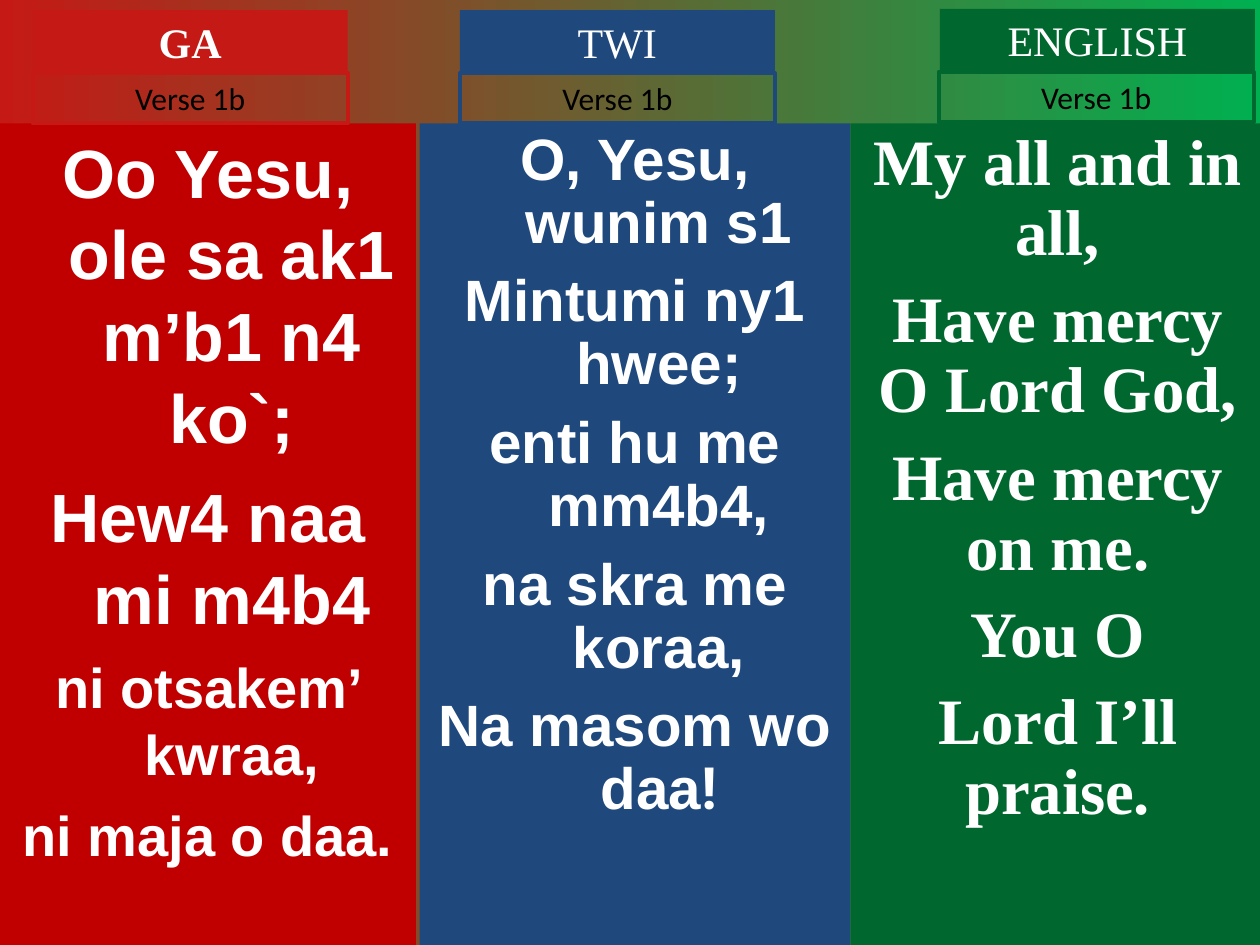
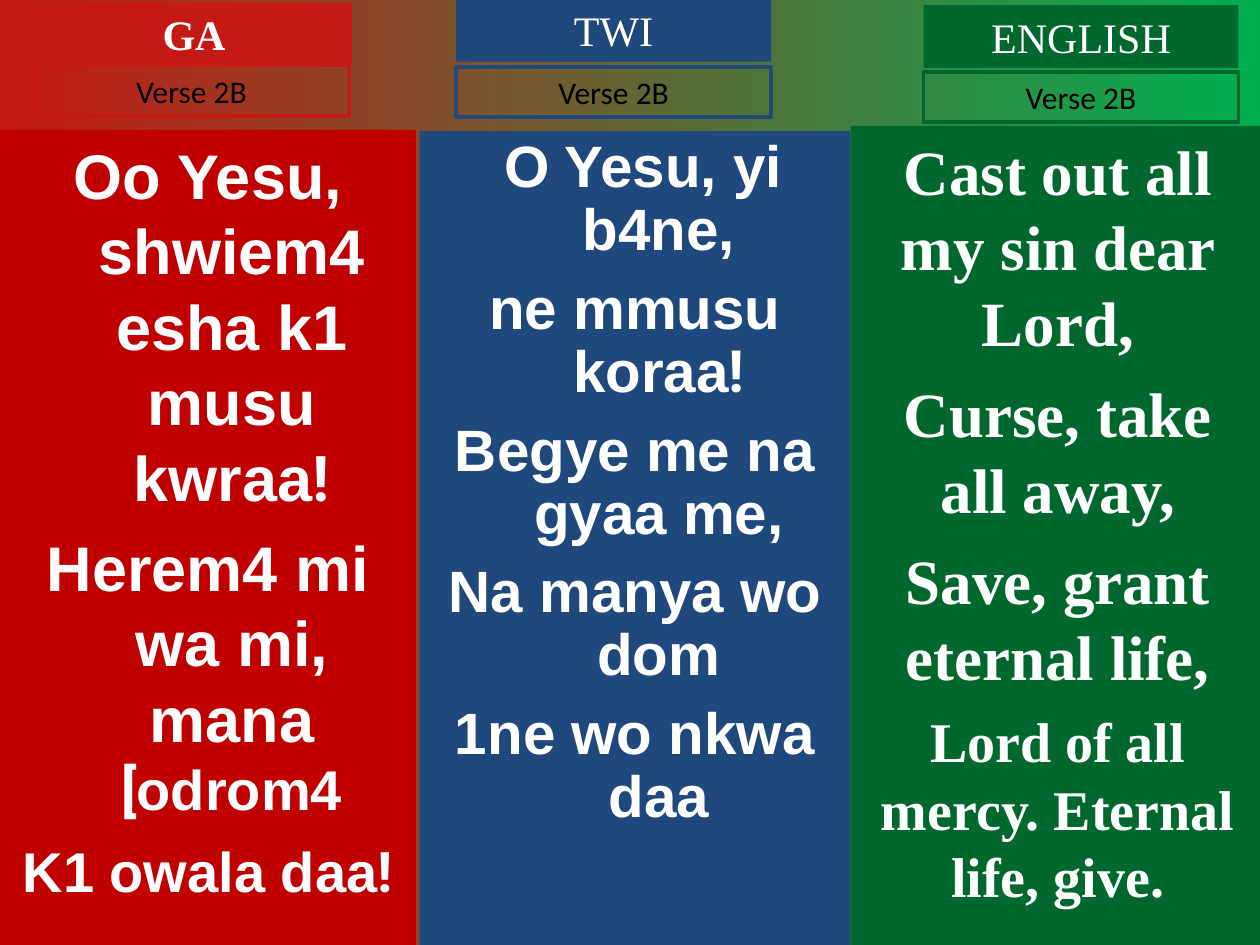
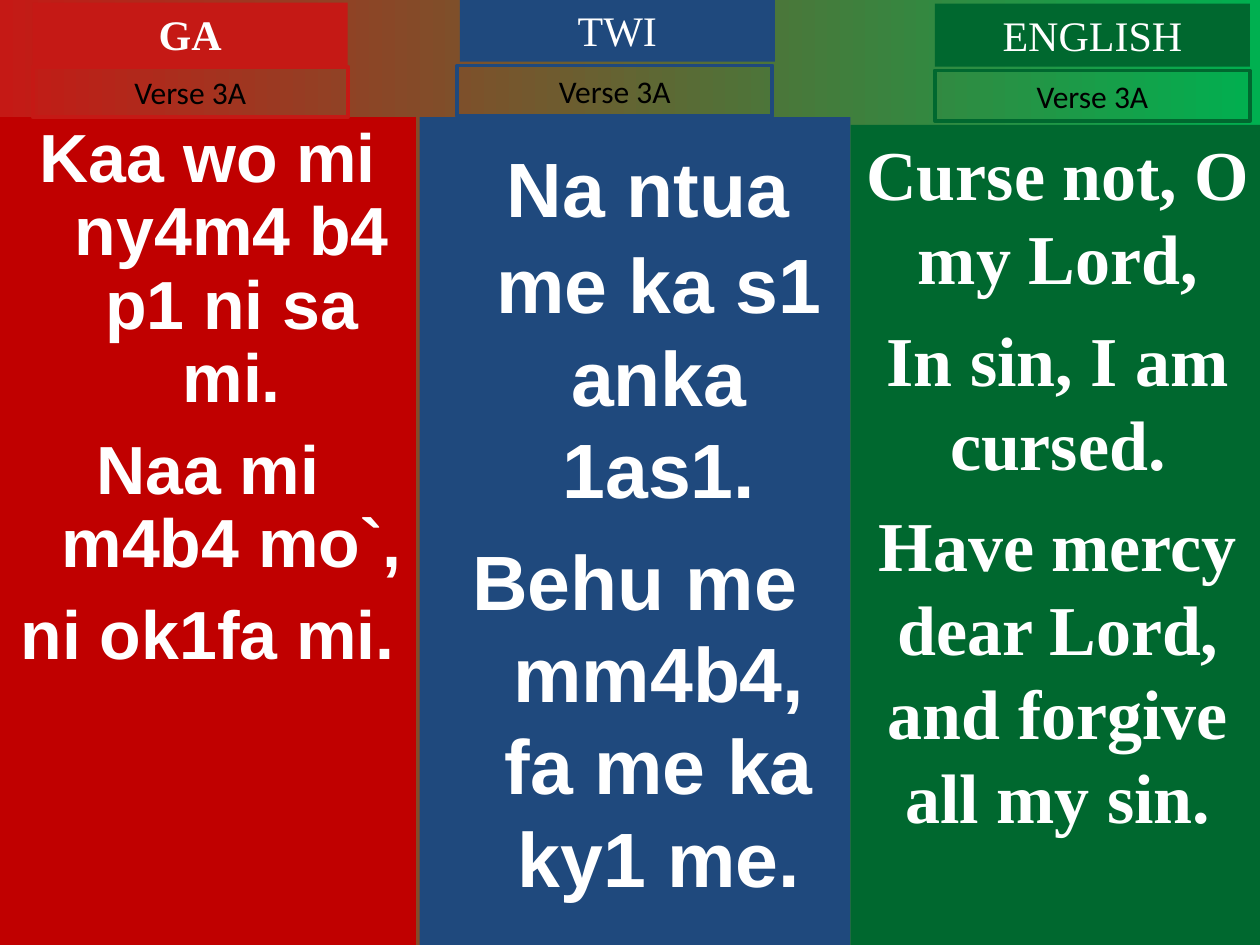
from itertools import groupby

from pptx import Presentation
from pptx import util as u
from pptx.dml.color import RGBColor
from pptx.enum import shapes, text
from pptx.oxml.ns import qn
from lxml import etree

WHITE, BLACK = "FFFFFF", "000000"
SERIF = "Times New Roman"
SYMBOLS = "![ "
HEAD_SIZE, LABEL_SIZE = (2.5, 0.5), (2.5, 0.4)
SLIDE_HEIGHT = 7.5
INDENT = 0.38

# One entry per language column; panel gives left and width.
COLUMNS = [
    {"name": "GA", "accent": "C51915", "fill": "C00000", "font": "Arial",
     "bold_head": True, "indent": INDENT, "panel": (0, 3.3)},
    {"name": "TWI", "accent": "1F497D", "fill": "1F497D", "font": "Arial",
     "bold_head": False, "indent": INDENT, "panel": (3.33, 3.42)},
    {"name": "ENGLISH", "accent": "00682F", "fill": "00682F", "font": SERIF,
     "bold_head": False, "indent": 0, "panel": (6.75, 3.29)},
]

# Each column: heading and label corners, panel top, line spacing, and
# paragraphs, each a list of (size, text) runs.
VERSES = [
    ("Verse 1b", [
        {"head": (0.26, 0.08), "label": (0.26, 0.58), "top": 0.98, "spacing": 1,
         "lyrics": [[(39, "Oo Yesu, ole sa ak1 m’b1 n4 ko`;")],
                    [(39, "Hew4 naa mi m4b4")],
                    [(32, "ni otsakem’ kwraa,")],
                    [(32, "ni maja o daa.")]]},
        {"head": (3.65, 0.08), "label": (3.65, 0.58), "top": 0.98, "spacing": 0.9,
         "lyrics": [[(33.3, "O, Yesu, wunim s1")],
                    [(33.3, "Mintumi ny1 hwee;")],
                    [(33.3, "enti hu me mm4b4,")],
                    [(33.3, "na skra me koraa,")],
                    [(33.3, "Na masom wo daa!")]]},
        {"head": (7.46, 0.07), "label": (7.45, 0.57), "top": 0.98, "spacing": 0.9,
         "lyrics": [[(37, "My all and in all,")],
                    [(37, "Have mercy O Lord God,")],
                    [(37, "Have mercy on me.")],
                    [(37, "You O")],
                    [(37, "Lord I’ll praise.")]]},
    ]),
    ("Verse 2B", [
        {"head": (0.29, 0.02), "label": (0.27, 0.52), "top": 1.03, "spacing": 1,
         "lyrics": [[(36, "Oo Yesu, shwiem4 esha k1 musu kwraa!")],
                    [(36, "Herem4 mi wa mi, mana "), (32, "[odrom4")],
                    [(32, "K1 owala daa!")]]},
        {"head": (3.62, -0.01), "label": (3.62, 0.53), "top": 1.04, "spacing": 0.9,
         "lyrics": [[(33.3, " O Yesu, yi b4ne,")],
                    [(33.3, "ne mmusu koraa!")],
                    [(33.3, "Begye me na gyaa me,")],
                    [(33.3, "Na manya wo dom")],
                    [(33.3, "1ne wo nkwa daa")]]},
        {"head": (7.33, 0.04), "label": (7.33, 0.57), "top": 1, "spacing": 1,
         "lyrics": [[(36, "Cast out all my sin dear Lord,")],
                    [(36, "Curse, take all away,")],
                    [(36, "Save, grant eternal life,")],
                    [(32, "Lord of all mercy. Eternal life, give.")]]},
    ]),
    ("Verse 3A", [
        {"head": (0.26, 0.02), "label": (0.26, 0.53), "top": 0.93, "spacing": 0.9,
         "lyrics": [[(38.9, "Kaa wo mi ny4m4 b4 p1 ni sa mi.")],
                    [(38.9, "Naa mi m4b4 mo`,")],
                    [(38.9, "ni ok1fa mi.")]]},
        {"head": (3.65, -0.01), "label": (3.63, 0.52), "top": 0.93, "spacing": 1,
         "lyrics": [[(54, " "), (44, "Na ntua me ka s1 anka 1as1.")],
                    [(44, "Behu me mm4b4, fa me ka ky1 me.")]]},
        {"head": (7.42, 0.03), "label": (7.42, 0.56), "top": 0.99, "spacing": 1,
         "lyrics": [[(40, "Curse not, O my Lord,")],
                    [(40, "In sin, I am cursed.")],
                    [(40, "Have mercy dear Lord, and forgive all my sin.")]]},
    ]),
]


def rgb(value):
    return RGBColor.from_string(value)


def set_background(master):
    fill = master.background.fill
    fill.gradient()
    fill.gradient_angle = 0
    for stop, color in zip(fill.gradient_stops, ("C51915", "00B050")):
        stop.color.rgb = rgb(color)


def place(sp, left, top, width, height):
    box = {"left": left, "top": top, "width": width, "height": height}
    for name, value in box.items():
        setattr(sp, name, u.Inches(value))


def add_rect(slide):
    sp = slide.shapes.add_shape(shapes.MSO_SHAPE.RECTANGLE, 0, 0, 0, 0)
    sp.shadow.inherit = False
    return sp


def paint(sp, fill=None, line=None):
    """Fill and outline a shape and prepare its text frame."""
    if fill:
        sp.fill.solid()
        sp.fill.fore_color.rgb = rgb(fill)
    else:
        sp.fill.background()
    if line:
        sp.line.color.rgb = rgb(line)
        sp.line.width = u.Pt(2.25)
    else:
        sp.line.fill.background()
    frame = {"word_wrap": True, "auto_size": text.MSO_AUTO_SIZE.NONE,
             "vertical_anchor": text.MSO_ANCHOR.TOP}
    for name, value in frame.items():
        setattr(sp.text_frame, name, value)


def add_run(p, content, font, size, color, bold):
    r = p.add_run()
    r.text = content
    style = {"name": font, "size": u.Pt(size), "bold": bold}
    for name, value in style.items():
        setattr(r.font, name, value)
    r.font.color.rgb = rgb(color)


def write_line(sp, content, **style):
    p = sp.text_frame.paragraphs[0]
    p.alignment = text.PP_ALIGN.CENTER
    add_run(p, content, **style)


def set_indent(p, indent):
    """Hang the first line by the indent and show no bullet."""
    pPr = p._p.get_or_add_pPr()
    pPr.set("marL", str(u.Inches(indent)))
    pPr.set("indent", str(-u.Inches(indent)))
    etree.SubElement(pPr, qn("a:buNone"))


def symbol_font(char, font):
    return "Roboto" if char in "![" else font


def write_lyrics(sp, lyrics, spacing, font, indent):
    tf = sp.text_frame
    gap = 0.25 if spacing == 1 else 0.27
    for i, runs in enumerate(lyrics):
        p = tf.add_paragraph() if i else tf.paragraphs[0]
        set_indent(p, indent)
        size = min(run_size for run_size, _ in runs)
        layout = {"alignment": text.PP_ALIGN.CENTER, "line_spacing": float(spacing),
                  "space_before": u.Pt(round(size * gap, 1) if i else 0)}
        for name, value in layout.items():
            setattr(p, name, value)
        for run_size, content in runs:
            for name, chars in groupby(content, lambda c: symbol_font(c, font)):
                add_run(p, "".join(chars), name, run_size, WHITE, True)


def add_panel(sp, column, part):
    left, width = column["panel"]
    place(sp, left, part["top"], width, SLIDE_HEIGHT - part["top"])
    paint(sp, fill=column["fill"])
    write_lyrics(sp, part["lyrics"], part["spacing"], column["font"], column["indent"])


def add_heading(sp, column, corner):
    place(sp, *corner, *HEAD_SIZE)
    paint(sp, fill=column["accent"])
    write_line(sp, column["name"], font=SERIF, size=24, color=WHITE,
               bold=column["bold_head"])


def add_label(sp, column, corner, verse):
    place(sp, *corner, *LABEL_SIZE)
    paint(sp, line=column["accent"])
    write_line(sp, verse, font="Calibri", size=18, color=BLACK, bold=False)


def add_verse(prs, verse, parts):
    slide = prs.slides.add_slide(prs.slide_layouts.get_by_name("Two Content"))
    title, ga_body, twi_body = slide.placeholders
    panels = [ga_body, twi_body, add_rect(slide)]
    headings = [title, add_rect(slide), add_rect(slide)]
    for column, part, panel, heading in zip(COLUMNS, parts, panels, headings):
        add_panel(panel, column, part)
        add_heading(heading, column, part["head"])
        add_label(add_rect(slide), column, part["label"], verse)


def main():
    prs = Presentation()
    prs.slide_width, prs.slide_height = u.Inches(10), u.Inches(SLIDE_HEIGHT)
    set_background(prs.slide_master)
    for verse, parts in VERSES:
        add_verse(prs, verse, parts)
    prs.save("out.pptx")


if __name__ == "__main__":
    main()
